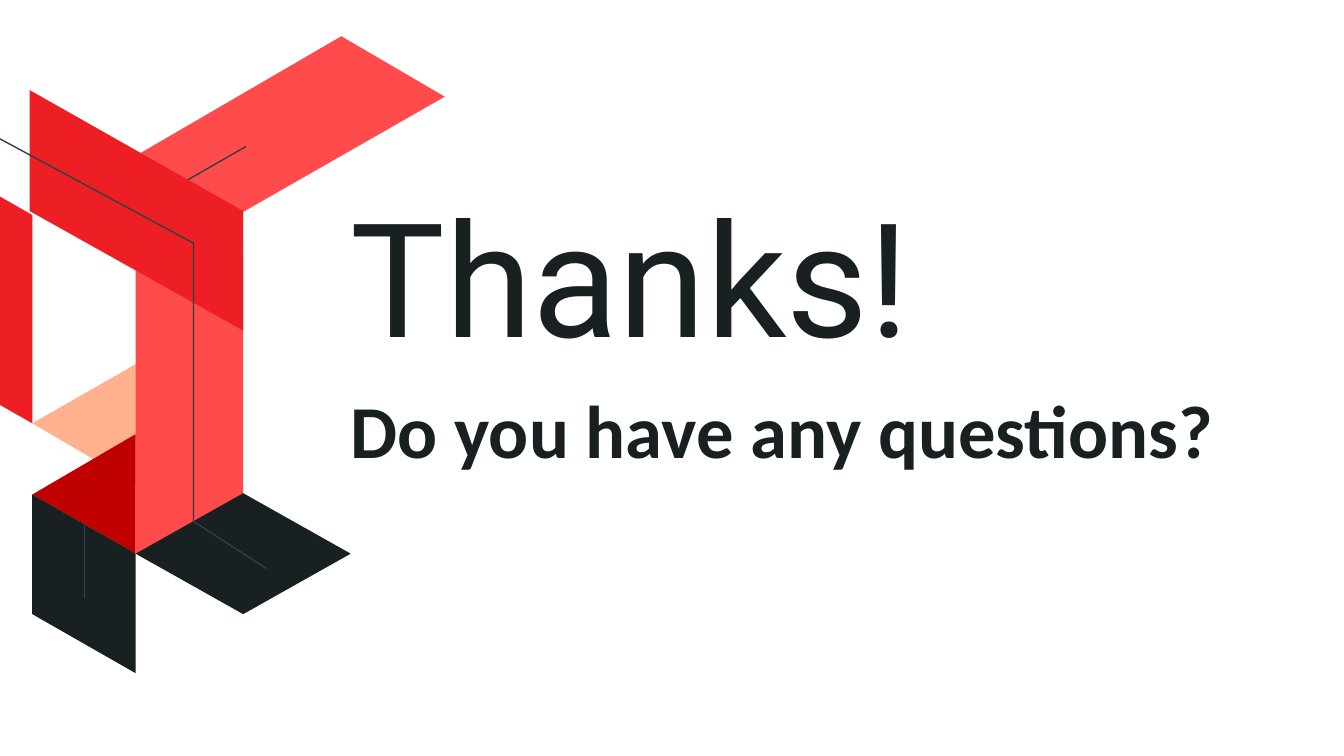
from pptx import Presentation
from pptx.dml.color import RGBColor
from pptx.enum.shapes import MSO_CONNECTOR, MSO_SHAPE
from pptx.enum.text import MSO_AUTO_SIZE
from pptx.oxml.ns import qn
from pptx.util import Inches, Pt
from lxml.etree import SubElement

WHITE, INK, THREAD = "FFFFFF", "182022", "2F4044"
PEACH, CORAL, RED, DARK_RED = "FFB18D", "FF4B4B", "ED1F24", "C00000"


def color(value):
    return RGBColor.from_string(value)


class ThanksSlide:
    thread_width = 0.75

    def __init__(self, presentation):
        self.slide = presentation.slides.add_slide(presentation.slide_layouts[6])
        self.shapes = self.slide.shapes

    def style_line(self, shape, line_color, width):
        shape.line.color.rgb = color(line_color)
        shape.line.width = Pt(width)

    def panel(self, left, top, width, height, fill):
        shape = self.shapes.add_shape(
            MSO_SHAPE.RECTANGLE, Inches(left), Inches(top), Inches(width), Inches(height)
        )
        shape.shadow.inherit = False
        shape.fill.solid()
        shape.fill.fore_color.rgb = color(fill)
        self.style_line(shape, fill, 2)

    def outline(self, points, close):
        corners = [(Inches(x), Inches(y)) for x, y in points]
        builder = self.shapes.build_freeform(*corners[0])
        builder.add_line_segments(corners[1:], close=close)
        shape = builder.convert_to_shape()
        shape.shadow.inherit = False
        return shape

    def facet(self, fill, *points):
        shape = self.outline(points, close=True)
        shape.fill.solid()
        shape.fill.fore_color.rgb = color(fill)
        shape.line.fill.background()

    def thread(self, *points):
        shape = self.outline(points, close=False)
        shape.fill.background()
        self.style_line(shape, THREAD, self.thread_width)

    def straight_thread(self, start, end):
        ends = [Inches(value) for value in (*start, *end)]
        connector = self.shapes.add_connector(MSO_CONNECTOR.STRAIGHT, *ends)
        self.style_line(connector, THREAD, self.thread_width)
        SubElement(connector._element.spPr, qn("a:effectLst"))

    def text(self, left, top, width, height, words, font, size, bold=False):
        box = self.shapes.add_textbox(
            Inches(left), Inches(top), Inches(width), Inches(height)
        )
        text_frame = box.text_frame
        text_frame.word_wrap = True
        text_frame.auto_size = MSO_AUTO_SIZE.SHAPE_TO_FIT_TEXT
        text_frame.text = words
        run_font = text_frame.paragraphs[0].runs[0].font
        run_font.name = font
        run_font.size = Pt(size)
        run_font.bold = bold
        run_font.color.rgb = color(INK)


def main():
    presentation = Presentation()
    presentation.slide_width = Inches(10)
    presentation.slide_height = Inches(10) * 9 // 16
    thanks = ThanksSlide(presentation)

    thanks.panel(-0.11, -0.23, 10.11, 5.85, WHITE)
    thanks.text(2.51, 1.28, 6.01, 1.53, "Thanks!", "Roboto", 85)
    thanks.text(2.51, 2.81, 7.24, 0.77, "Do you have any questions?", "Calibri", 40, True)

    thanks.facet(PEACH, (1.01, 3.6), (1.78, 3.15), (1.01, 2.71), (0.24, 3.15))
    thanks.facet(CORAL, (3.31, 0.72), (2.54, 0.27), (1.01, 1.16), (1.77, 1.6))
    thanks.facet(DARK_RED, (0.24, 3.68), (1.01, 3.23), (1.01, 4.12))
    thanks.facet(RED, (0.24, 1.6), (-0.53, 1.16), (-0.53, 2.71), (0.24, 3.15))
    thanks.facet(INK, (1.01, 4.12), (0.24, 3.68), (0.24, 4.57), (1.01, 5.01))
    thanks.straight_thread((1.83, 1.09), (1.36, 1.36))
    thanks.straight_thread((0.63, 3.9), (0.63, 4.45))
    thanks.facet(CORAL, (1.81, 4.56), (1.81, 1.88), (1.01, 1.43), (1.01, 4.12))
    thanks.facet(RED, (0.22, 1.57), (0.22, 0.67), (1.81, 1.57), (1.81, 2.46))
    thanks.facet(INK, (1.81, 4.57), (2.61, 4.12), (1.81, 3.67), (1.01, 4.12))
    thanks.thread((1.98, 4.23), (1.44, 3.88), (1.44, 1.81), (-2.16, -0.13))

    presentation.save("out.pptx")


if __name__ == "__main__":
    main()
